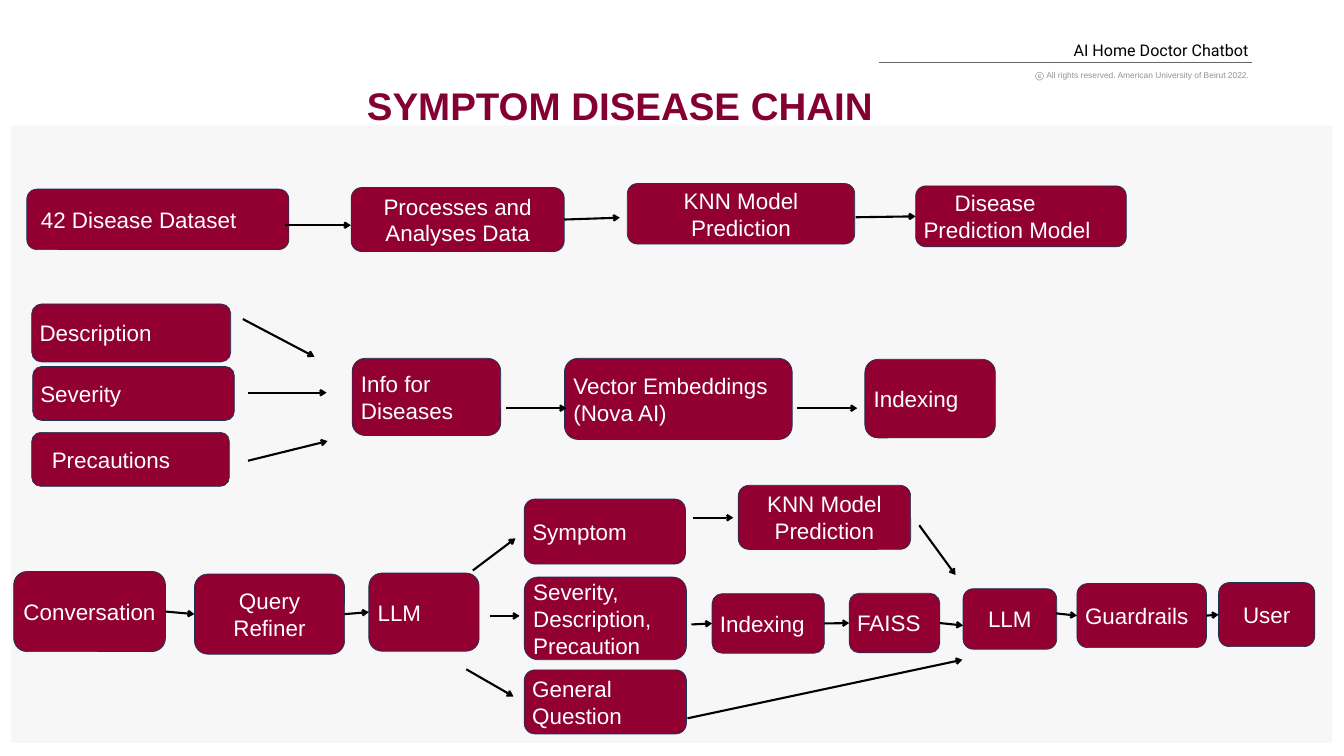
import pptx
import pptx.dml.color
import pptx.enum.shapes
import pptx.enum.text
import pptx.oxml.ns
import pptx.oxml.xmlchemy
import pptx.util

Cm = pptx.util.Cm
Pt = pptx.util.Pt
ALIGN = pptx.enum.text.PP_ALIGN
SHAPES = pptx.enum.shapes.MSO_SHAPE
MAROON, NAVY, WHITE, BLACK = "910030", "1E3256", "FFFFFF", "000000"

STEPS = {
    "dataset": ("42 Disease Dataset", 1.35, 9.53, 13.21, 3.05, "left", 0.31),
    "processing": ("Processes and Analyses Data", 17.7, 9.45, 10.74, 3.23, "center", 0),
    "training": ("KNN Model Prediction", 31.62, 9.25, 11.46, 3.05, "center", 0),
    "disease model": ("Disease Prediction Model", 46.15, 9.37, 10.62, 3.07, "left", 1.57),
    "description": ("Description", 1.6, 15.32, 10.03, 2.92, "left", 0),
    "severity": ("Severity", 1.65, 18.47, 10.16, 2.72, "left", 0),
    "precautions": ("Precautions", 1.6, 21.79, 9.96, 2.72, "left", 0.63),
    "disease info": ("Info for Diseases", 17.75, 18.06, 7.49, 3.89, "left", 0),
    "embeddings": ("Vector Embeddings (Nova AI)", 28.45, 18.06, 11.48, 4.09, "left", 0),
    "info index": ("Indexing", 43.59, 18.11, 6.58, 3.96, "left", 0),
    "conversation": ("Conversation", 0.69, 28.8, 7.65, 4.04, "center", 0),
    "refiner": ("Query Refiner", 9.8, 28.93, 7.57, 4.04, "center", 0),
    "router": ("LLM", 18.59, 28.88, 5.56, 3.94, "left", 0),
    "symptom": ("Symptom", 26.42, 25.15, 8.13, 3.28, "left", 0),
    "details": ("Severity, Description, Precaution", 26.42, 29.08, 8.18, 4.17, "left", 0),
    "general": ("General Question", 26.42, 33.76, 8.18, 3.23, "left", 0),
    "prediction": ("KNN Model Prediction", 37.21, 24.46, 8.69, 3.23, "center", 0),
    "detail index": ("Indexing", 35.89, 29.92, 5.66, 3, "left", 0),
    "search": ("FAISS", 42.8, 29.9, 4.57, 3, "left", 0),
    "answer": ("LLM", 48.54, 29.67, 4.72, 3.05, "center", 0),
    "guardrails": ("Guardrails", 54.28, 29.41, 6.53, 3.23, "left", 0),
    "user": ("User", 61.42, 29.36, 4.85, 3.23, "center", 0),
}

JOINED_ARROWS = [
    ("conversation", "refiner"), ("refiner", "router"),
    ("detail index", "search"), ("guardrails", "user"),
]

ARROWS = [
    (14.38, 11.35, 17.68, 11.35, None, None),
    (28.44, 11.06, 31.24, 10.97, "processing", None),
    (43.13, 10.95, 46.15, 10.91, None, "disease model"),
    (12.24, 16.08, 15.85, 17.98, None, None),
    (12.5, 19.79, 16.46, 19.79, None, None),
    (12.5, 23.22, 16.51, 22.23, None, None),
    (25.5, 20.57, 28.55, 20.57, None, None),
    (40.16, 20.57, 43.21, 20.57, None, None),
    (23.83, 28.75, 25.98, 27.13, None, None),
    (24.69, 31.04, 26.19, 31.04, None, None),
    (23.5, 33.73, 25.88, 35.1, None, None),
    (34.95, 26.09, 36.96, 26.09, None, None),
    (46.33, 26.47, 48.16, 28.98, None, None),
    (34.65, 36.2, 48.51, 33.25, None, None),
    (34.85, 31.47, 35.89, 31.42, None, "detail index"),
    (47.37, 31.4, 48.54, 31.52, "search", None),
    (53.21, 30.91, 54.28, 31.03, None, "guardrails"),
]


def color(value):
    """Turn a hex string into a colour."""
    return pptx.dml.color.RGBColor.from_string(value)


def add_run(paragraph, text, size, font_color, font_name="Arial", bold=False):
    """Add one formatted run to a paragraph."""
    run = paragraph.add_run()
    run.text = text
    run.font.size = Pt(size)
    run.font.name = font_name
    run.font.bold = bold
    run.font.color.rgb = color(font_color)


def add_panel(slide, left, top, width, height, fill):
    """Add a plain background rectangle."""
    shape = slide.shapes.add_shape(
        SHAPES.RECTANGLE, Cm(left), Cm(top), Cm(width), Cm(height))
    shape.shadow.inherit = False
    shape.fill.solid()
    shape.fill.fore_color.rgb = color(fill)
    shape.line.fill.background()


def add_text_paragraph(slide, left, top, width, height, align, wrap=True):
    """Add a text box with narrow margins and return its paragraph."""
    frame = slide.shapes.add_textbox(
        Cm(left), Cm(top), Cm(width), Cm(height)).text_frame
    frame.word_wrap = wrap
    frame.margin_left = frame.margin_right = Cm(0.15)
    frame.margin_top = frame.margin_bottom = Cm(0.15)
    paragraph = frame.paragraphs[0]
    paragraph.alignment = align
    return paragraph


def add_step(slide, text, left, top, width, height, align, indent):
    """Add a rounded process box with its label."""
    shape = slide.shapes.add_shape(
        SHAPES.ROUNDED_RECTANGLE, Cm(left), Cm(top), Cm(width), Cm(height))
    shape.shadow.inherit = False
    shape.fill.solid()
    shape.fill.fore_color.rgb = color(MAROON)
    shape.line.color.rgb = color(NAVY)
    shape.line.width = Pt(1)
    frame = shape.text_frame
    frame.word_wrap = True
    frame.vertical_anchor = pptx.enum.text.MSO_ANCHOR.MIDDLE
    paragraph = frame.paragraphs[0]
    paragraph.alignment = ALIGN.CENTER if align == "center" else ALIGN.LEFT
    if indent:
        paragraph._p.get_or_add_pPr().set("indent", str(Cm(indent)))
    add_run(paragraph, text, 32, WHITE)
    return shape


def add_line(slide, start_x, start_y, end_x, end_y, line_color, width):
    """Add a straight connector without a shadow."""
    line = slide.shapes.add_connector(
        pptx.enum.shapes.MSO_CONNECTOR.STRAIGHT,
        Cm(start_x), Cm(start_y), Cm(end_x), Cm(end_y))
    line.line.color.rgb = color(line_color)
    line.line.width = Pt(width)
    line._element.spPr.append(pptx.oxml.xmlchemy.OxmlElement("a:effectLst"))
    return line


def add_arrow(slide, points, source=None, target=None):
    """Add an arrow, joined to the right of source and left of target."""
    arrow = add_line(slide, *points, BLACK, 3)
    head = pptx.oxml.xmlchemy.OxmlElement("a:tailEnd")
    head.set("type", "arrow")
    arrow._element.spPr.find(pptx.oxml.ns.qn("a:ln")).append(head)
    if source is not None:
        arrow.begin_connect(source, 3)
    if target is not None:
        arrow.end_connect(target, 1)


def add_header(slide):
    """Add the project name, rule, copyright line and title."""
    copyright_line = add_text_paragraph(
        slide, 51.84, 3.4, 11.28, 0.79, ALIGN.RIGHT, wrap=False)
    add_run(copyright_line, "ⓒ ", 12, "929292", bold=True)
    add_run(copyright_line,
            "All rights reserved. American University of Beirut 2022.", 12, "929292")
    add_line(slide, 44.32, 3.15, 63.09, 3.15, "666666", 2)
    title = add_text_paragraph(slide, 11.46, 4.27, 39.57, 2.41, ALIGN.CENTER)
    title.line_spacing = 0.9
    add_run(title, "SYMPTOM DISEASE CHAIN", 55, "840032", bold=True)
    project = add_text_paragraph(slide, 44.32, 1.88, 18.77, 1.27, ALIGN.RIGHT)
    add_run(project, "AI Home Doctor Chatbot", 23, BLACK, "Roboto")


def main():
    """Build the slide and save it."""
    presentation = pptx.Presentation()
    presentation.slide_width = Cm(67.74)
    presentation.slide_height = Cm(38.1)
    slide = presentation.slides.add_slide(presentation.slide_layouts[6])
    add_panel(slide, 0.58, 6.32, 66.57, 31.12, "F7F7F7")
    add_header(slide)
    steps = {name: add_step(slide, *details) for name, details in STEPS.items()}
    for source, target in JOINED_ARROWS:
        add_arrow(slide, (0, 0, 1, 1), steps[source], steps[target])
    for *points, source, target in ARROWS:
        add_arrow(slide, points, steps.get(source), steps.get(target))
    presentation.save("out.pptx")


if __name__ == "__main__":
    main()
